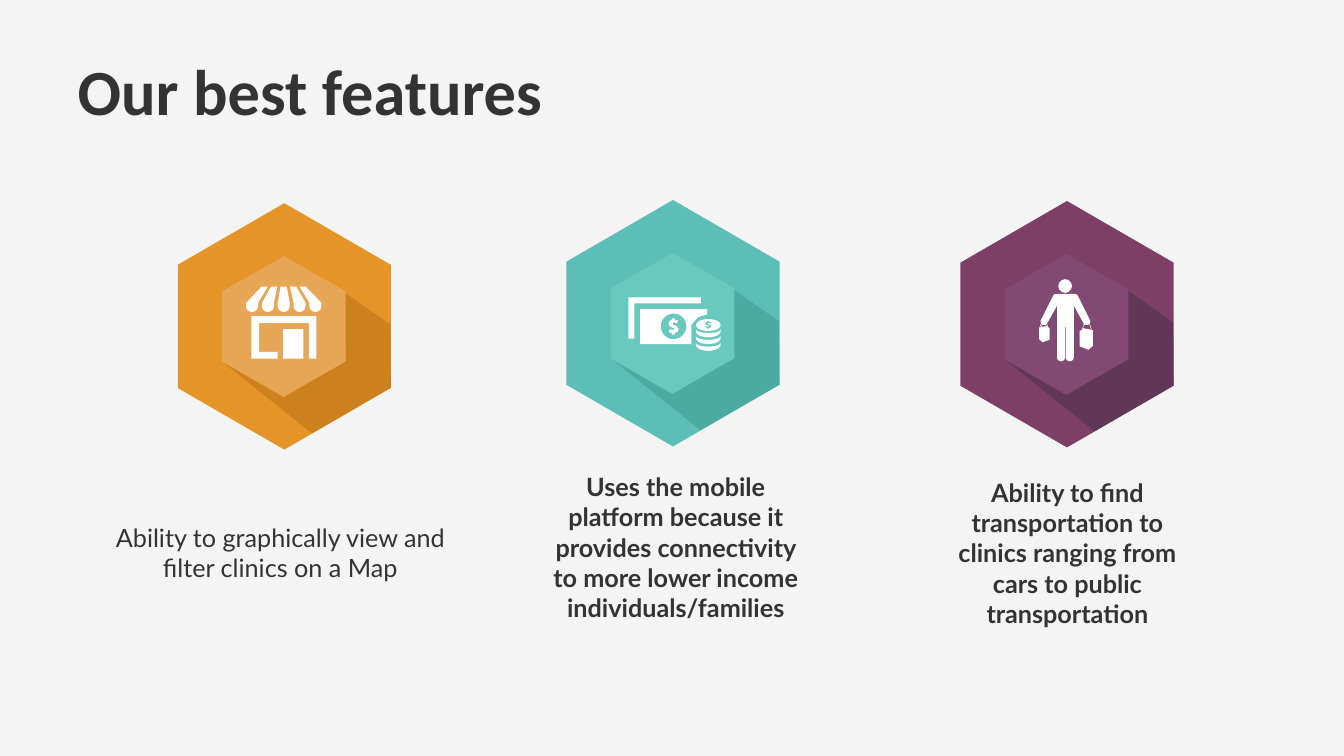
import math
import pptx
import pptx.util
import pptx.dml.color
import pptx.enum.shapes
import pptx.enum.text
import lxml.etree

Cm = pptx.util.Cm
Pt = pptx.util.Pt
ALIGN = pptx.enum.text.PP_ALIGN
ANCHOR = pptx.enum.text.MSO_ANCHOR
WHITE, DARK = "FFFFFF", "333333"


def paint(fill, hue):
    fill.solid()
    fill.fore_color.rgb = pptx.dml.color.RGBColor.from_string(hue)


def arc(x, y, rx, ry, start=0, end=360):
    """Points along an ellipse, in degrees clockwise from the right."""
    steps = 24
    turns = [math.radians(start + (end - start) * i / steps) for i in range(steps + 1)]
    return [(x + rx * math.cos(t), y + ry * math.sin(t)) for t in turns]


deck = pptx.Presentation()
deck.slide_width, deck.slide_height = Cm(67.74), Cm(38.1)
slide = deck.slides.add_slide(deck.slide_layouts[5])
paint(slide.background.fill, "F4F4F4")

# Title
title = slide.shapes.title
title.left, title.top, title.width, title.height = Cm(3.66), Cm(2.44), Cm(26.34), Cm(4.19)
frame = title.text_frame
frame.word_wrap = False
frame.auto_size = pptx.enum.text.MSO_AUTO_SIZE.SHAPE_TO_FIT_TEXT
frame.vertical_anchor = ANCHOR.TOP
para = frame.paragraphs[0]
para.alignment = ALIGN.LEFT
run = para.add_run()
run.text = "Our best features"
run.font.name, run.font.size, run.font.bold = "Calibri", Pt(92), True
paint(run.font.fill, DARK)

# Each part: shapes to add to, colour, opacity in percent, outlines
parts = []

# Badges: outer hexagon, long shadow, inner hexagon
cast = [(8.43, 4.52), (10.72, 6.12), (10.74, 9.3), (6.76, 11.6),
        (2.36, 8.08), (5.33, 9.8), (8.46, 7.92)]
badges = [
    (28.55, 10.08, "5CBEB6", "3C9790", 50, "69C9BF"),
    (48.41, 10.13, "7D3F65", "613757", 100, "814974"),
    (8.96, 10.24, "E59428", "B47016", 50, "E7A556"),
]
for left, top, outer, shade, solid, inner in badges:
    group = slide.shapes.add_group_shape().shapes
    hexes = []
    for x, y, w, h in [(0, 0, 10.74, 12.42), (2.24, 2.67, 6.22, 7.08)]:
        hexes.append([(x + w / 2, y), (x + w, y + h / 4), (x + w, y + h * 3 / 4),
                      (x + w / 2, y + h), (x, y + h * 3 / 4), (x, y + h / 4)])
    for hue, amount, ring in [(outer, 100, hexes[0]), (shade, solid, cast),
                              (inner, 100, hexes[1])]:
        parts.append((group, hue, amount, [[(left + x, top + y) for x, y in ring]]))

# Shop: striped awning, front wall, door
shop = []
for i in range(5):
    head, foot = 13.18 + 0.48 * i, 12.4 + 0.8 * i
    shop.append([(head, 14.45), (head + 0.31, 14.45), (foot + 0.61, 15.27)]
                + arc(foot + 0.3, 15.42, 0.3, 0.3, 0, 180) + [(foot, 15.27)])
shop.append([(12.67, 15.93), (12.67, 18.08), (14, 18.08), (14, 17.73), (13.06, 17.73),
             (13.06, 16.28), (15.57, 16.28), (15.57, 18.08), (15.95, 18.08), (15.95, 15.93)])
shop.append([(14.27, 16.59), (15.29, 16.59), (15.29, 18.08), (14.27, 18.08)])
parts.append((slide.shapes, WHITE, 100, shop))

# Money: two notes and a stack of coins; inner outlines are holes
dollar = [(0.25, 0.13), (0.2, 0.27), (0.05, 0.34), (0.05, 0.41), (-0.08, 0.41),
          (-0.08, 0.34), (-0.25, 0.28), (-0.2, 0.15), (0, 0.18), (0.06, 0.11),
          (-0.2, 0), (-0.25, -0.13), (-0.2, -0.27), (-0.08, -0.33), (-0.08, -0.41),
          (0.05, -0.41), (0.05, -0.34), (0.23, -0.3), (0.18, -0.16), (0, -0.2),
          (-0.06, -0.11), (0.18, 0)]
money = [
    [(35.33, 15.29), (31.98, 15.29), (31.98, 17.07), (31.67, 17.07),
     (31.67, 14.99), (35.33, 14.99)],
    [(34.85, 17.35), (34.85, 16.38), (35.18, 15.98), (35.64, 15.85),
     (35.64, 15.57), (32.26, 15.57), (32.26, 17.35)],
    arc(33.95, 16.45, 0.65, 0.65),
    [(33.95 + x, 16.45 + y) for x, y in dollar],
    arc(35.7, 16.38, 0.62, 0.3),
    [(35.7 + x * 0.65, 16.37 + y * 0.47) for x, y in dollar],
]
for i in range(3):
    rim = 16.59 + 0.34 * i
    money.append(arc(35.7, rim, 0.62, 0.2, 180, 0)
                 + arc(35.7, rim + 0.11, 0.62, 0.3, 0, 180))
parts.append((slide.shapes, WHITE, 100, money))

# Shopper: mirrored body and two bags
half = ([(0.4, 14.81), (0.55, 14.83), (0.62, 14.9)]
        + arc(1.07, 16.2, 0.18, 0.18, -20, 150) + [(0.42, 15.4)]
        + arc(0.22, 18.01, 0.2, 0.2, 0, 180) + [(0.02, 16.48)])
body = [(53.7 + x, y) for x, y in half] + [(53.7 - x, y) for x, y in reversed(half)]
bags = [
    [(54.41, 17.45), (54.86, 17.63), (55.09, 17.42), (55.09, 16.64),
     (54.61, 16.54), (54.41, 16.71)],
    [(52.91, 17.12), (52.55, 17.25), (52.37, 17.09), (52.37, 16.51),
     (52.76, 16.43), (52.91, 16.56)],
]
for ring in [body] + bags:
    parts.append((slide.shapes, WHITE, 100, [ring]))

for shapes, hue, amount, rings in parts:
    pen = None
    for ring in rings:
        dots = [(Cm(x), Cm(y)) for x, y in ring]
        if pen is None:
            pen = shapes.build_freeform(*dots[0])
        else:
            pen.move_to(*dots[0])
        pen.add_line_segments(dots[1:], close=True)
    shape = pen.convert_to_shape()
    shape.shadow.inherit = False
    shape.line.fill.background()
    paint(shape.fill, hue)
    if amount < 100:
        tint = shape.fill._xPr.find(".//" + pptx.oxml.ns.qn("a:srgbClr"))
        lxml.etree.SubElement(tint, pptx.oxml.ns.qn("a:alpha"), val=str(amount * 1000))

face = slide.shapes.add_shape(pptx.enum.shapes.MSO_SHAPE.OVAL,
                              Cm(53.34), Cm(14.07), Cm(0.69), Cm(0.69))
face.shadow.inherit = False
face.line.fill.background()
paint(face.fill, WHITE)

# Bag handles
for x, y, rx, ry in [(52.65, 16.6, 0.17, 0.34), (52.58, 16.6, 0.17, 0.34),
                     (54.78, 16.69, 0.22, 0.43)]:
    dots = [(Cm(a), Cm(b)) for a, b in arc(x, y, rx, ry, 180, 360)]
    pen = slide.shapes.build_freeform(*dots[0])
    pen.add_line_segments(dots[1:], close=False)
    loop = pen.convert_to_shape()
    loop.shadow.inherit = False
    loop.fill.background()
    loop.line.width = Pt(0.75)
    paint(loop.line.fill, WHITE)

# Captions
captions = [
    (5.05, 23.83, 18.16, False, "Ability to graphically view and filter clinics on a Map"),
    (27.2, 23.55, 13.72, True, "Uses the mobile platform because it provides "
     "connectivity to more lower income individuals/families"),
    (46.94, 23.83, 13.72, True, "Ability to find transportation to clinics "
     "ranging from cars to public transportation"),
]
for left, top, width, bold, words in captions:
    frame = slide.shapes.add_textbox(Cm(left), Cm(top), Cm(width), Cm(8.05)).text_frame
    frame.word_wrap = True
    frame.vertical_anchor = ANCHOR.MIDDLE
    frame.margin_left = frame.margin_right = Cm(0.15)
    frame.margin_top = frame.margin_bottom = Cm(0.15)
    para = frame.paragraphs[0]
    para.alignment = ALIGN.CENTER
    run = para.add_run()
    run.text = words
    run.font.name, run.font.size, run.font.bold = "Lato", Pt(36), bold
    paint(run.font.fill, DARK)

deck.save("out.pptx")
